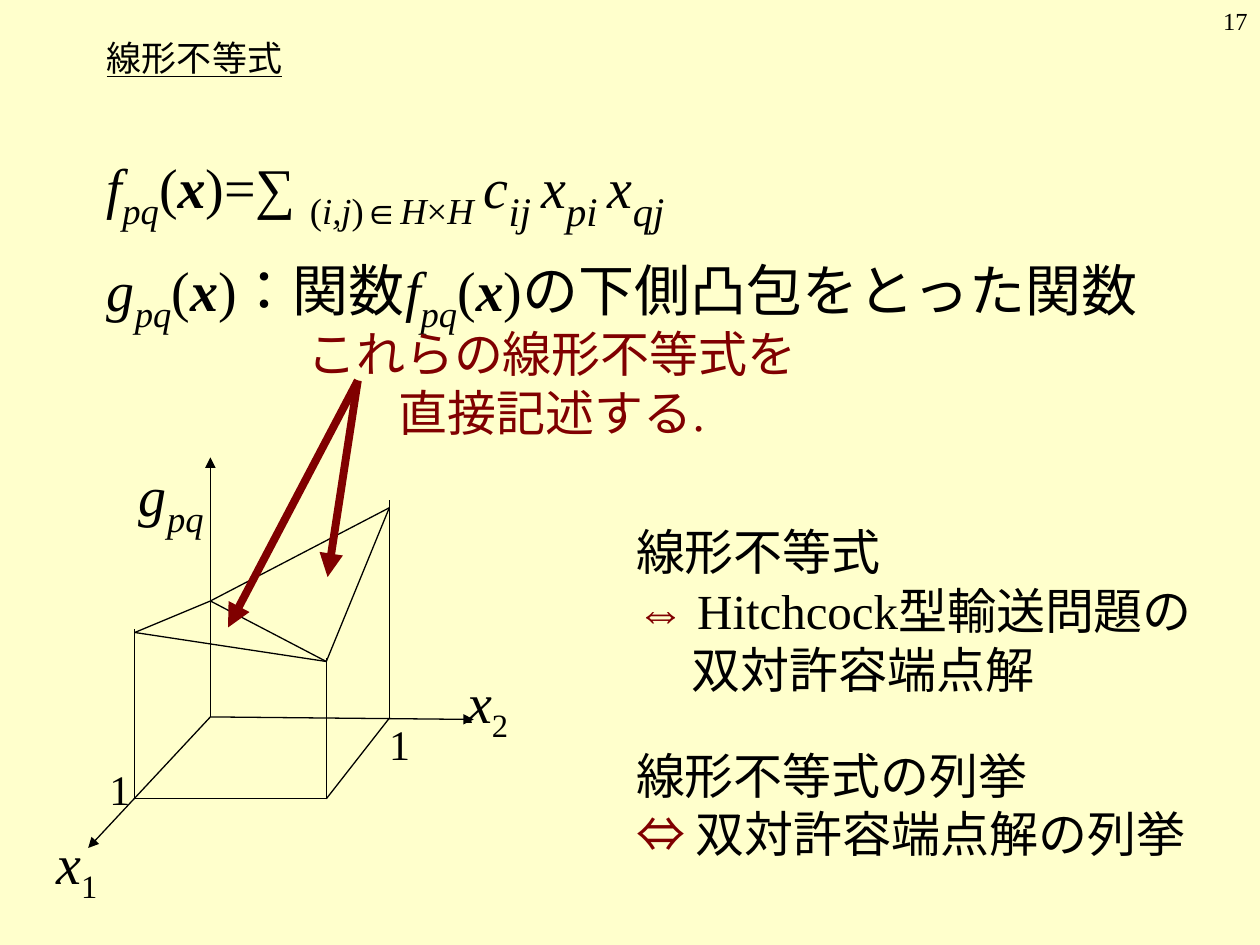
from dataclasses import dataclass

from pptx import Presentation
from pptx.dml.color import RGBColor
from pptx.enum.lang import MSO_LANGUAGE_ID
from pptx.enum.shapes import MSO_CONNECTOR
from pptx.enum.text import MSO_ANCHOR, MSO_AUTO_SIZE, PP_ALIGN
from pptx.oxml.ns import qn
from pptx.util import Inches, Pt
from lxml.etree import SubElement


@dataclass(frozen=True)
class Theme:
    font: str = "Times New Roman"
    paper: RGBColor = RGBColor(0xFF, 0xFF, 0xCC)
    ink: RGBColor = RGBColor(0, 0, 0)
    accent: RGBColor = RGBColor(0x80, 0, 0)
    number: int = 14
    title: int = 20
    tick: int = 24
    note: int = 28
    math: int = 32
    sub: int = 36
    big_sub: int = 40
    thin: float = 0.75
    thick: float = 4.5


T = Theme()

# Run styles: size, italic, bold, subscript, colour
STYLES = {
    "number": (T.number, False, False, False, T.ink),
    "title": (T.title, False, False, False, T.ink),
    "tick": (T.tick, False, False, False, T.ink),
    "note": (T.note, False, False, False, T.ink),
    "accent": (T.note, False, False, False, T.accent),
    "plain": (T.math, False, False, False, T.ink),
    "var": (T.math, True, False, False, T.ink),
    "vec": (T.math, True, True, False, T.ink),
    "index": (T.math, False, False, True, T.ink),
    "sub": (T.sub, True, False, True, T.ink),
    "subplain": (T.sub, False, False, True, T.ink),
    "bigsub": (T.big_sub, True, False, True, T.ink),
}

# Each paragraph is a list of (text, style) runs
F_FORMULA = [
    ("f", "var"), ("pq", "sub"), ("(", "plain"), ("x", "vec"), (")=∑ ", "plain"),
    ("(", "subplain"), ("i,j", "sub"), (")∈", "subplain"), ("H", "sub"),
    ("×", "subplain"), ("H", "sub"), (" ", "bigsub"),
    ("c", "var"), ("ij ", "bigsub"), ("x", "var"), ("pi ", "bigsub"),
    ("x", "var"), ("qj", "bigsub"),
]
G_DEFINITION = [
    ("g", "var"), ("pq", "sub"), ("(", "plain"), ("x", "vec"), (")", "plain"),
    ("：関数", "plain"), ("f", "var"), ("pq", "sub"), ("(", "plain"), ("x", "vec"),
    (")の下側凸包をとった関数", "plain"),
]
REMARK = [[("これらの線形不等式を", "accent")], [("直接記述する.", "accent")]]
CONCLUSIONS = [
    [("線形不等式", "note")],
    [("⇔", "accent"), (" Hitchcock型輸送問題の", "note")],
    [("双対許容端点解", "note")],
    [("線形不等式の列挙", "note")],
    [("⇔", "accent"), (" 双対許容端点解の列挙", "note")],
]
AXIS_LABELS = [
    ((0.77, 6.01, 0.36, 0.5), [("1", "tick")]),
    ((2.99, 5.65, 0.36, 0.5), [("1", "tick")]),
    ((0.31, 6.53, 0.6, 0.71), [("x", "var"), ("1", "index")]),
    ((3.57, 5.25, 0.6, 0.71), [("x", "var"), ("2", "index")]),
    ((0.96, 3.55, 0.8, 0.79), [("g", "var"), ("pq", "sub")]),
]

# Unit square on the floor and the function values above its corners
POINTS = {
    "origin": (1.67, 5.69), "x1": (1.07, 6.34), "x1x2": (2.59, 6.34), "x2": (3.09, 5.7),
    "g_origin": (1.67, 4.77), "g_x1": (1.07, 5.02), "g_x1x2": (2.59, 5.25),
    "g_x2": (3.09, 4.03),
    "post_x1": (1.07, 4.99), "post_x1x2": (2.59, 5.22), "post_x2": (3.09, 3.97),
    "axis_x1": (0.7, 6.73), "axis_x2": (3.76, 5.71), "axis_g": (1.67, 3.63),
    "remark": (2.84, 3.02), "left_facet": (1.81, 4.98), "right_facet": (2.6, 4.58),
}
AXES = [("origin", "axis_x2"), ("origin", "axis_x1"), ("origin", "axis_g")]
EDGES = [
    ("x1", "x1x2"), ("x1x2", "x2"),
    ("x1", "post_x1"), ("x1x2", "post_x1x2"), ("x2", "post_x2"),
    ("g_x1", "g_x1x2"), ("g_x2", "g_x1x2"), ("g_x1", "g_origin"),
    ("g_origin", "g_x2"), ("g_origin", "g_x1x2"),
]
POINTERS = [("remark", "left_facet"), ("remark", "right_facet")]


def add_text(s, box, paragraphs, align=PP_ALIGN.LEFT, wrap=True):
    tf = s.shapes.add_textbox(*map(Inches, box)).text_frame
    tf.word_wrap = wrap
    if not wrap:
        tf.auto_size = MSO_AUTO_SIZE.SHAPE_TO_FIT_TEXT
    for n, runs in enumerate(paragraphs):
        p = tf.paragraphs[0] if n == 0 else tf.add_paragraph()
        p.alignment = align
        for text, style in runs:
            r = p.add_run()
            r.text = text
            size, italic, bold, sub, colour = STYLES[style]
            r.font.name = T.font
            r.font.size = Pt(size)
            r.font.italic = italic
            r.font.bold = bold
            r.font.color.rgb = colour
            r.font.language_id = MSO_LANGUAGE_ID.JAPANESE
            if sub:
                r.font._element.set("baseline", "-25000")
    return tf


def add_lines(s, pairs, colour=T.ink, width=T.thin, arrow=False):
    for start, end in pairs:
        ends = map(Inches, POINTS[start] + POINTS[end])
        c = s.shapes.add_connector(MSO_CONNECTOR.STRAIGHT, *ends)
        c.line.color.rgb = colour
        c.line.width = Pt(width)
        if arrow:
            SubElement(c.line._get_or_add_ln(), qn("a:tailEnd"), type="triangle")
        SubElement(c._element.spPr, qn("a:effectLst"))


def main():
    prs = Presentation()
    prs.slide_width, prs.slide_height = Inches(10), Inches(7.5)
    s = prs.slides.add_slide(prs.slide_layouts[6])
    s.background.fill.solid()
    s.background.fill.fore_color.rgb = T.paper

    tf = add_text(s, (0.75, 0.33, 6.42, 0.25), [[("線形不等式", "title")]])
    tf.vertical_anchor = MSO_ANCHOR.MIDDLE
    tf.paragraphs[0].runs[0].font.underline = True

    tf = add_text(s, (0.75, 0.75, 8.92, 6.17), [F_FORMULA, G_DEFINITION])
    tf.paragraphs[0].line_spacing = 1.4
    tf.paragraphs[1].space_before = Pt(8)

    add_lines(s, AXES, arrow=True)
    add_lines(s, EDGES)
    for box, runs in AXIS_LABELS:
        add_text(s, box, [runs], PP_ALIGN.CENTER, wrap=False)
    add_lines(s, POINTERS, T.accent, T.thick, arrow=True)

    add_text(s, (2.07, 2.52, 4.62, 1.04), REMARK, PP_ALIGN.CENTER)
    tf = add_text(s, (4.95, 4.09, 4.7, 2.81), CONCLUSIONS, wrap=False)
    tf.paragraphs[2]._p.get_or_add_pPr().set("marL", str(Inches(0.44)))
    tf.paragraphs[3].line_spacing = 1.8

    add_text(s, (7.92, 0, 2.08, 0.5), [[("17", "number")]], PP_ALIGN.RIGHT)
    prs.save("out.pptx")


if __name__ == "__main__":
    main()
